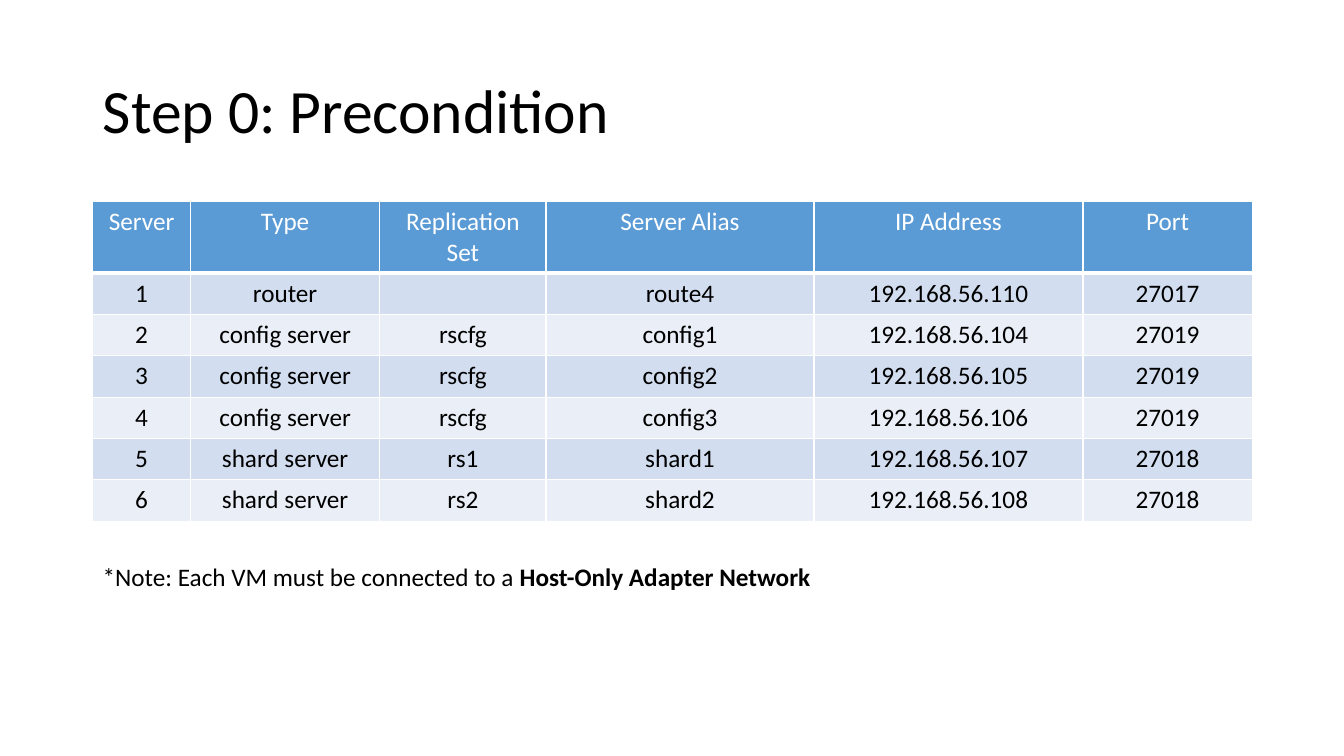
from lxml.etree import SubElement as Sub
from pptx import Presentation
from pptx.dml.color import RGBColor as RGB
from pptx.enum.text import MSO_ANCHOR as Anchor, MSO_AUTO_SIZE as Auto, PP_ALIGN as Align
from pptx.oxml.ns import qn
from pptx.util import Inches, Pt

WIDE, HIGH = 13.33, 7.5
LEFT, SPAN = 0.92, 11.5
FONT = "Calibri"
HUES = {"ink": "000000", "paper": "FFFFFF", "head": "5B9BD5",
        "odd": "D2DEEF", "even": "EAEFF7"}
COLS = [0.97, 1.88, 1.65, 2.66, 2.67, 1.68]
HEAD_ROW, ROW = 0.7, 0.41
HEADS = ["Server", "Type", "Replication Set", "Server Alias", "IP Address", "Port"]
HOSTS = [
    ("router", "", "route4", 110, 27017),
    ("config server", "rscfg", "config1", 104, 27019),
    ("config server", "rscfg", "config2", 105, 27019),
    ("config server", "rscfg", "config3", 106, 27019),
    ("shard server", "rs1", "shard1", 107, 27018),
    ("shard server", "rs2", "shard2", 108, 27018),
]


def add_run(para, text, size=18, hue="ink", bold=False):
    run = para.add_run()
    run.text = text
    font = run.font
    font.name, font.size, font.bold = FONT, Pt(size), bold
    font.color.rgb = RGB.from_string(HUES[hue])


def add_edges(cell, base):
    """Draw white borders; base is the width of the lower one in points."""
    props = cell._tc.get_or_add_tcPr()
    for side, width in (("L", 1), ("R", 1), ("T", 1), ("B", base)):
        line = Sub(props, qn(f"a:ln{side}"), w=str(Pt(width)))
        fill = Sub(line, qn("a:solidFill"))
        Sub(fill, qn("a:srgbClr"), val=HUES["paper"])


def add_title(slide, box):
    title = slide.shapes.title
    title.left, title.top, title.width, title.height = map(Inches, box)
    frame = title.text_frame
    frame.vertical_anchor = Anchor.MIDDLE
    para = frame.paragraphs[0]
    para.alignment, para.line_spacing = Align.LEFT, 0.9
    add_run(para, "Step 0: Precondition", 44)


def fill_cell(cell, text, row):
    head = row == 0
    add_edges(cell, 3 if head else 1)
    cell.fill.solid()
    shade = "head" if head else "odd" if row % 2 else "even"
    cell.fill.fore_color.rgb = RGB.from_string(HUES[shade])
    para = cell.text_frame.paragraphs[0]
    para.alignment = Align.CENTER
    if text:
        add_run(para, text, hue="paper" if head else "ink")


def add_hosts(slide, box):
    rows = [HEADS] + [
        [str(num), kind, group, alias, f"192.168.56.{tail}", str(port)]
        for num, (kind, group, alias, tail, port) in enumerate(HOSTS, 1)
    ]
    table = slide.shapes.add_table(len(rows), len(COLS), *map(Inches, box)).table
    for col, share in zip(table.columns, COLS):
        col.width = Inches(box[2] * share / sum(COLS))
    for r, texts in enumerate(rows):
        table.rows[r].height = Inches(ROW if r else HEAD_ROW)
        for c, text in enumerate(texts):
            fill_cell(table.cell(r, c), text, r)


def add_note(slide, box):
    frame = slide.shapes.add_textbox(*map(Inches, box)).text_frame
    frame.word_wrap = True
    frame.auto_size = Auto.SHAPE_TO_FIT_TEXT
    para = frame.paragraphs[0]
    add_run(para, "*Note: Each VM must be connected to a ")
    add_run(para, "Host-Only Adapter Network", bold=True)


def main():
    deck = Presentation()
    deck.slide_width, deck.slide_height = Inches(WIDE), Inches(HIGH)
    slide = deck.slides.add_slide(deck.slide_layouts[5])
    add_title(slide, (LEFT, 0.4, SPAN, 1.45))
    add_hosts(slide, (LEFT, 2, SPAN, HEAD_ROW + ROW * len(HOSTS)))
    add_note(slide, (LEFT, 5.52, SPAN, 0.4))
    deck.save("out.pptx")


if __name__ == "__main__":
    main()
